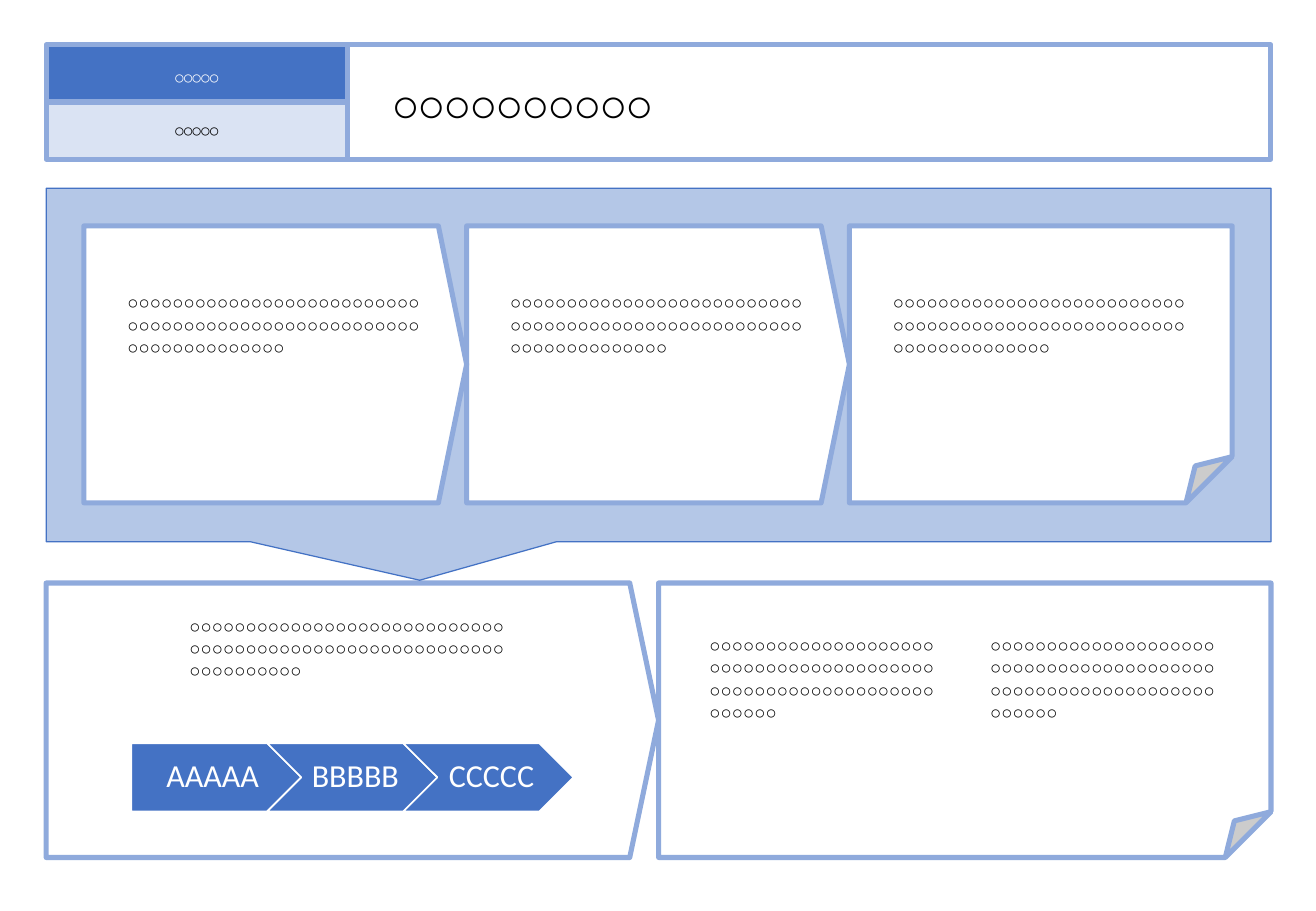
from pptx import Presentation
from pptx.dml.color import RGBColor
from pptx.enum.shapes import MSO_SHAPE
from pptx.enum.text import MSO_ANCHOR, MSO_AUTO_SIZE, PP_ALIGN
from pptx.util import Inches, Pt

BLUE = "4472C4"
BORDER = "8FAADC"
PANEL = "B4C7E7"
PALE = "DAE3F3"
WHITE = "FFFFFF"
BLACK = "000000"
PASSAGE = "○" * 66


def color(value):
    return RGBColor.from_string(value)


def add_box(slide, kind, box, fill, line=BORDER, width=3, adjustments=()):
    shape = slide.shapes.add_shape(kind, *map(Inches, box))
    shape.shadow.inherit = False
    if fill:
        shape.fill.solid()
        shape.fill.fore_color.rgb = color(fill)
    else:
        shape.fill.background()
    shape.line.color.rgb = color(line)
    shape.line.width = Pt(width)
    for index, value in enumerate(adjustments):
        shape.adjustments[index] = value
    return shape


def write(shape, text, size, ink=BLACK, font="Arial", align=PP_ALIGN.LEFT,
          anchor=MSO_ANCHOR.TOP, insets=(0.1, 0.05, 0.1, 0.05), wrap=True, heading=False):
    frame = shape.text_frame
    frame.word_wrap = wrap
    frame.auto_size = MSO_AUTO_SIZE.NONE
    frame.vertical_anchor = anchor
    frame.margin_left, frame.margin_top, frame.margin_right, frame.margin_bottom = map(Inches, insets)
    paragraph = frame.paragraphs[0]
    paragraph.alignment = align
    run = paragraph.add_run()
    run.text = text
    run.font.size = Pt(size)
    run.font.name = font
    run.font.color.rgb = color(ink)
    if heading:
        run.font.bold = True
        run._r.get_or_add_rPr().set("spc", "-150")
    return paragraph


def add_passage(slide, box):
    shape = slide.shapes.add_textbox(*map(Inches, box))
    write(shape, PASSAGE, 11, align=PP_ALIGN.JUSTIFY)


def add_header(slide, box):
    left, top, width, height = box
    label_width, label_height = 2.48, height / 2
    add_box(slide, MSO_SHAPE.RECTANGLE, (left + label_width, top, width - label_width, height), WHITE)
    title = slide.shapes.title
    title.left, title.top = Inches(left + 2.74), Inches(top + 0.2)
    title.width, title.height = Inches(5.45), Inches(0.57)
    write(title, "○○○○○○○○○○", 28, heading=True)
    slide.shapes.element.append(title.element)
    for index, (fill, ink, inset) in enumerate(((BLUE, WHITE, 0.17), (PALE, BLACK, 0.14))):
        label = add_box(slide, MSO_SHAPE.RECTANGLE,
                        (left, top + index * label_height, label_width, label_height), fill)
        write(label, "○○○○○", 11, ink, align=PP_ALIGN.CENTER,
              insets=(0.1, inset, 0.1, 0.05), heading=True)


def add_card_panel(slide, box):
    left, top, width, height = box
    add_box(slide, MSO_SHAPE.RECTANGULAR_CALLOUT, box, PANEL, BLUE, 0.75, (-0.195, 0.609))
    card_width = 3.15
    kinds = (MSO_SHAPE.PENTAGON, MSO_SHAPE.PENTAGON, MSO_SHAPE.FOLDED_CORNER)
    cards = [(left + 0.31 + index * card_width, kind) for index, kind in enumerate(kinds)]
    for card_left, kind in reversed(cards):
        adjustments = (0.102,) if kind == MSO_SHAPE.PENTAGON else ()
        add_box(slide, kind, (card_left, top + 0.31, card_width, height - 0.63), WHITE,
                adjustments=adjustments)
    for card_left, kind in cards:
        add_passage(slide, (card_left + 0.26, top + 0.8, 2.63, 1.03))


def add_process(slide, box):
    left, top, width, height = box
    step_width = height * 2.5
    pitch = (width - step_width) / 2
    steps = (
        ("AAAAA", MSO_SHAPE.PENTAGON, 0.11),
        ("BBBBB", MSO_SHAPE.CHEVRON, 0.08),
        ("CCCCC", MSO_SHAPE.CHEVRON, 0.08),
    )
    for index, (name, kind, inset) in enumerate(steps):
        step = add_box(slide, kind, (left + index * pitch, top, step_width, height),
                       BLUE, WHITE, 1, (0.5,))
        paragraph = write(step, name, 19, WHITE, "Calibri", PP_ALIGN.CENTER, MSO_ANCHOR.MIDDLE,
                          (inset, 0.06, 0.03, 0.06), wrap=False)
        paragraph.line_spacing = 0.9


def add_process_box(slide, box):
    left, top, width, height = box
    add_box(slide, MSO_SHAPE.PENTAGON, box, None, adjustments=(0.105,))
    add_passage(slide, (left + 1.08, top + 0.21, 2.88, 0.84))
    add_process(slide, (left + 0.7, top + 1.32, 3.64, 0.56))


def add_result_box(slide, box):
    left, top, width, height = box
    add_box(slide, MSO_SHAPE.FOLDED_CORNER, box, WHITE)
    for column in range(2):
        add_passage(slide, (left + 0.32 + column * 2.31, top + 0.37, 2.1, 1.21))


def main():
    presentation = Presentation()
    presentation.slide_width = Inches(10.83)
    presentation.slide_height = Inches(7.5)
    slide = presentation.slides.add_slide(presentation.slide_layouts[5])
    left, width = 0.38, 10.08
    half = width / 2
    add_header(slide, (left, 0.37, width, 0.94))
    add_process_box(slide, (left, 4.8, half, 2.26))
    add_result_box(slide, (left + half, 4.8, half, 2.26))
    add_card_panel(slide, (left, 1.55, width, 2.91))
    presentation.save("out.pptx")


if __name__ == "__main__":
    main()
